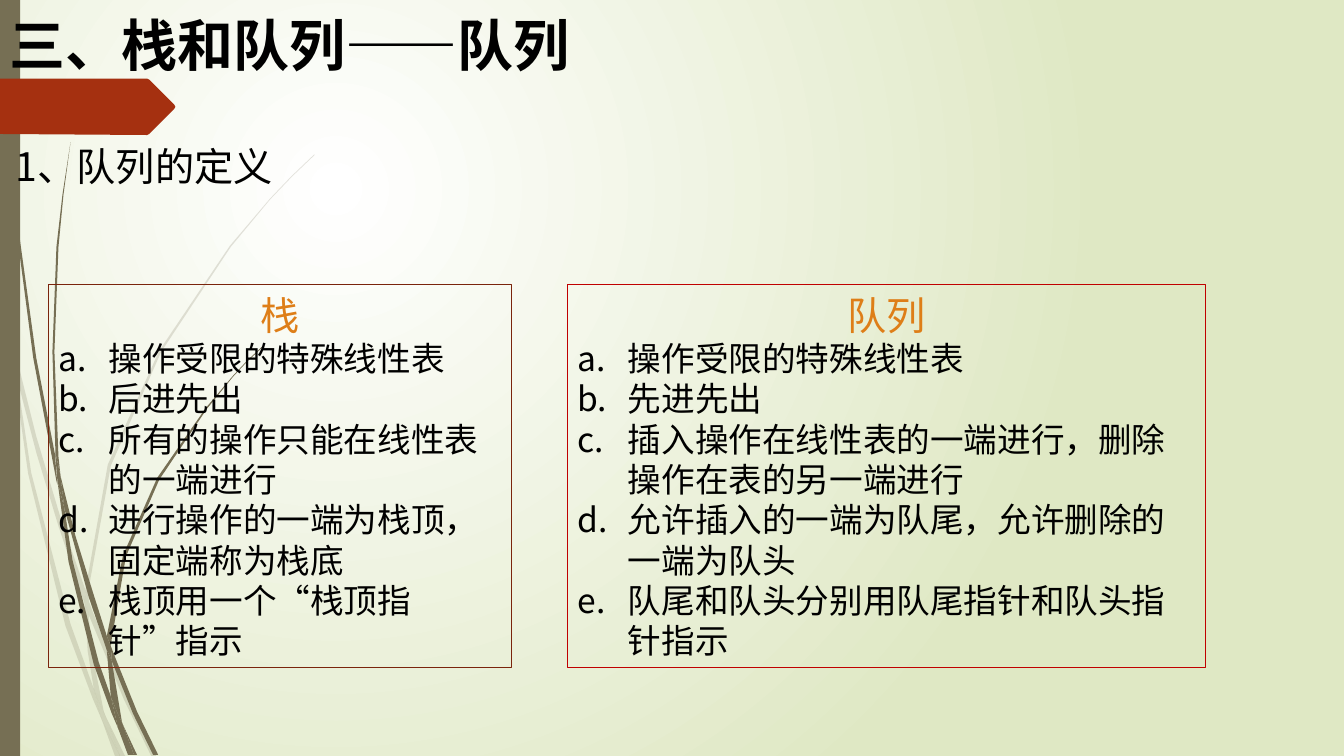
from lxml import etree
from pptx import Presentation
from pptx.dml.color import RGBColor
from pptx.enum.shapes import MSO_SHAPE
from pptx.enum.text import MSO_ANCHOR, PP_ALIGN
from pptx.oxml import parse_xml
from pptx.oxml.ns import qn
from pptx.util import Pt

RECTANGLE = MSO_SHAPE.RECTANGLE
TOP, MIDDLE = MSO_ANCHOR.TOP, MSO_ANCHOR.MIDDLE
LEFT, CENTER = PP_ALIGN.LEFT, PP_ALIGN.CENTER

BLACK = RGBColor(0x00, 0x00, 0x00)
OLIVE = RGBColor(0x76, 0x6F, 0x54)
RUST = RGBColor(0xA5, 0x30, 0x10)
DARK_RUST = RGBColor(0x7A, 0x24, 0x0C)
RED = RGBColor(0xC0, 0x00, 0x00)
ORANGE = RGBColor(0xDE, 0x7E, 0x18)
WHITE = RGBColor(0xFF, 0xFF, 0xFF)
PALE_GREEN = RGBColor(0xDF, 0xE8, 0xC4)

# Outlines are lists of corners on a grid of 0.72 pt.
GRID = Pt(0.72)
FAINT_STRANDS = [
    [(11, 350), (9, 322), (0, 282), (0, 299), (10, 344)],
    [(58, 522), (84, 599), (85, 586), (62, 520), (36, 433), (14, 345), (17, 376), (36, 449)],
    [(92, 607), (88, 596), (88, 610), (123, 694), (150, 750), (155, 750), (127, 692)],
    [(119, 750), (124, 750), (105, 711)],
    [(93, 683), (70, 619), (31, 469), (17, 376), (11, 350), (28, 470), (65, 621), (92, 693),
     (101, 714), (99, 707)],
    [(84, 599), (87, 646), (93, 683), (96, 692), (105, 711), (103, 706), (91, 646), (88, 610),
     (88, 608)],
    [(88, 584), (110, 462), (160, 349), (229, 245), (268, 198), (290, 175), (312, 154),
     (312, 153), (289, 175), (268, 197), (228, 244), (158, 348), (107, 461), (85, 584),
     (85, 586), (88, 596)],
    [(101, 714), (114, 750), (119, 750)],
    [(88, 608), (88, 610), (88, 596), (85, 586), (84, 599)],
    [(96, 692), (93, 683), (99, 707), (101, 714), (119, 750), (105, 711)],
]
DARK_STRANDS = [
    [(7, 110), (17, 233), (33, 355), (56, 477), (57, 481), (55, 457), (55, 453), (36, 355),
     (19, 232), (8, 109), (5, 48), (4, 0), (3, 0), (4, 48)],
    [(88, 592), (106, 645), (106, 633), (106, 631), (93, 590), (75, 532), (60, 472), (64, 505)],
    [(113, 649), (110, 641), (111, 656), (132, 708), (152, 749), (157, 749), (136, 706)],
    [(110, 691), (98, 657), (72, 556), (64, 505), (57, 477), (68, 557), (93, 659), (111, 708),
     (117, 722), (116, 717)],
    [(60, 472), (58, 453), (54, 349), (58, 245), (63, 193), (70, 141), (62, 193), (56, 245),
     (52, 349), (55, 449)],
    [(133, 749), (136, 749), (122, 719)],
    [(57, 477), (64, 505), (60, 472), (55, 449), (55, 453)],
    [(111, 633), (125, 552), (158, 476), (205, 406), (231, 374), (245, 359), (261, 344),
     (260, 344), (245, 358), (231, 373), (204, 405), (156, 474), (122, 551), (106, 631),
     (110, 641)],
    [(117, 722), (127, 749), (131, 749)],
    [(106, 645), (110, 691), (116, 706), (122, 719), (121, 716), (111, 656), (109, 651)],
    [(106, 645), (109, 651), (111, 656), (110, 641), (106, 631), (106, 633)],
    [(116, 706), (110, 691), (116, 717), (117, 722), (130, 749), (133, 749), (122, 719)],
]
BANNER = [(0, 78), (146, 78), (148, 79), (173, 104), (174, 106), (173, 108), (148, 133),
          (146, 134), (0, 133)]

STACK_FACTS = [
    "操作受限的特殊线性表",
    "后进先出",
    "所有的操作只能在线性表的一端进行",
    "进行操作的一端为栈顶，固定端称为栈底",
    "栈顶用一个“栈顶指针”指示",
]
QUEUE_FACTS = [
    "操作受限的特殊线性表",
    "先进先出",
    "插入操作在线性表的一端进行，删除操作在表的另一端进行",
    "允许插入的一端为队尾，允许删除的一端为队头",
    "队尾和队头分别用队尾指针和队头指针指示",
]


class SlideBuilder:
    font_name = "Noto Sans CJK SC"
    line_spacing = 1.2
    list_indent = Pt(36)

    def __init__(self, slide):
        self.slide = slide

    def radial_background(self, inner, outer):
        """Fill the background with a circle gradient centred at the upper left."""
        fill = self.slide.background.fill
        fill.gradient()
        for stop, color, position in zip(fill.gradient_stops, (inner, outer), (0, 1)):
            stop.color.rgb = color
            stop.position = position
        gradient = self.slide.background._cSld.find(".//" + qn("a:gradFill"))
        gradient.replace(gradient.find(qn("a:lin")), parse_xml(
            '<a:path xmlns:a="http://schemas.openxmlformats.org/drawingml/2006/main" path="circle">'
            '<a:fillToRect l="50000" t="50000" r="100000" b="100000"/></a:path>'))

    def paint(self, shape, color, opacity=100):
        shape.shadow.inherit = False
        shape.line.fill.background()
        shape.fill.solid()
        shape.fill.fore_color.rgb = color
        if opacity < 100:
            color_element = shape._element.spPr.find(".//" + qn("a:srgbClr"))
            etree.SubElement(color_element, qn("a:alpha")).set("val", str(opacity * 1000))

    def outline(self, corners, color, opacity=100):
        builder = self.slide.shapes.build_freeform(*corners[0], scale=GRID)
        builder.add_line_segments(corners[1:])
        self.paint(builder.convert_to_shape(), color, opacity)

    def bar(self, left, top, width, height, color):
        bar = self.slide.shapes.add_shape(RECTANGLE, Pt(left), Pt(top), Pt(width), Pt(height))
        self.paint(bar, color)

    def format_paragraph(self, paragraph, size, color, bold=False, align=LEFT):
        paragraph.alignment = align
        paragraph.line_spacing = Pt(size * self.line_spacing)
        for run in paragraph.runs:
            run.font.name = self.font_name
            run.font.size = Pt(size)
            run.font.bold = bold
            run.font.color.rgb = color
            east_asian = etree.SubElement(run.font._element, qn("a:ea"))
            east_asian.set("typeface", self.font_name)

    def letter_item(self, paragraph):
        """Number the paragraph a., b., c. with a hanging indent."""
        properties = paragraph._p.get_or_add_pPr()
        properties.set("marL", str(self.list_indent))
        properties.set("indent", str(-self.list_indent))
        etree.SubElement(properties, qn("a:buFont")).set("typeface", self.font_name)
        etree.SubElement(properties, qn("a:buAutoNum")).set("type", "alphaLcPeriod")

    def text(self, left, top, width, height, words, size, bold=False, anchor=TOP):
        box = self.slide.shapes.add_textbox(Pt(left), Pt(top), Pt(width), Pt(height))
        frame = box.text_frame
        frame.word_wrap = True
        frame.vertical_anchor = anchor
        frame.text = words
        self.format_paragraph(frame.paragraphs[0], size, BLACK, bold)

    def fact_box(self, left, top, width, height, line_color, heading, facts):
        box = self.slide.shapes.add_shape(RECTANGLE, Pt(left), Pt(top), Pt(width), Pt(height))
        box.shadow.inherit = False
        box.fill.background()
        box.line.color.rgb = line_color
        box.line.width = Pt(0.75)
        frame = box.text_frame
        frame.word_wrap = True
        frame.vertical_anchor = MIDDLE
        frame.text = heading
        self.format_paragraph(frame.paragraphs[0], 28, ORANGE, align=CENTER)
        for fact in facts:
            paragraph = frame.add_paragraph()
            paragraph.text = fact
            self.letter_item(paragraph)
            self.format_paragraph(paragraph, 24, BLACK)


def main():
    presentation = Presentation()
    presentation.slide_width, presentation.slide_height = Pt(960), Pt(540)
    builder = SlideBuilder(presentation.slides.add_slide(presentation.slide_layouts[6]))
    builder.radial_background(WHITE, PALE_GREEN)
    for strand in FAINT_STRANDS:
        builder.outline(strand, OLIVE, opacity=20)
    for strand in DARK_STRANDS:
        builder.outline(strand, OLIVE)
    builder.bar(0, 0, 14.4, 540, OLIVE)
    builder.outline(BANNER, RUST)
    builder.text(4.3, 97.9, 684.7, 41, "1、队列的定义", 28)
    builder.fact_box(34.6, 203, 330.5, 273.6, DARK_RUST, "栈", STACK_FACTS)
    builder.fact_box(405.4, 203, 455.8, 273.6, RED, "队列", QUEUE_FACTS)
    builder.text(0, 0, 676.8, 63.4, "三、栈和队列——队列", 40, bold=True, anchor=MIDDLE)
    presentation.save("out.pptx")


if __name__ == "__main__":
    main()
